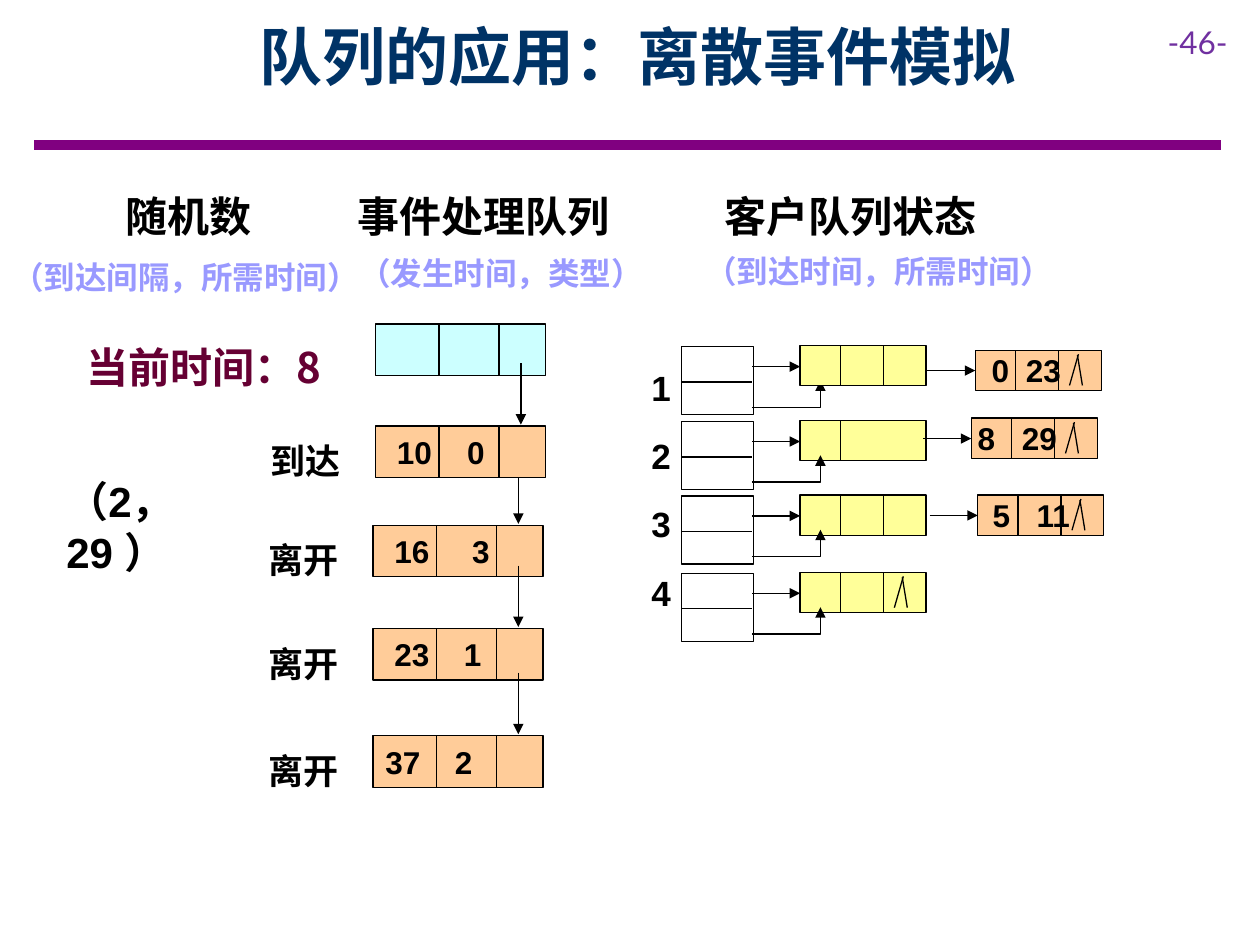
"""Build a slide that traces a bank simulation with event and customer queues."""
from typing import NamedTuple

from lxml import etree
from pptx import Presentation
from pptx.dml.color import RGBColor
from pptx.enum.shapes import MSO_CONNECTOR, MSO_SHAPE
from pptx.enum.text import MSO_ANCHOR, PP_ALIGN
from pptx.oxml.ns import qn
from pptx.util import Cm, Pt

RECTANGLE = MSO_SHAPE.RECTANGLE
STRAIGHT = MSO_CONNECTOR.STRAIGHT
TOP, MIDDLE = MSO_ANCHOR.TOP, MSO_ANCHOR.MIDDLE
LEFT, CENTER = PP_ALIGN.LEFT, PP_ALIGN.CENTER

LATIN, CHINESE = "Arial", "Noto Sans CJK SC"
COLORS = {
    "ink": "000000", "title": "003366", "rule": "800080", "page": "7030A0",
    "hint": "9999FF", "clock": "660033", "head": "CCFFFF",
    "node": "FFCC99", "queue": "FFFF99",
}


class Style(NamedTuple):
    size: int
    color: str = "ink"
    font: str = LATIN
    bold: bool = True


class Caption(NamedTuple):
    text: str
    left: float
    top: float
    width: float
    height: float
    style: Style


class Values(NamedTuple):
    first: str
    second: str
    inset: float
    tab: float


class Event(NamedTuple):
    left: float
    top: float
    label: str
    values: Values


class Window(NamedTuple):
    top: float
    dividers: tuple[float, ...]
    nil: bool = False
    link_behind: bool = False


class Customer(NamedTuple):
    left: float
    top: float
    values: Values


HEADING = Style(24)
HINT = Style(18, "hint")
LABEL = Style(20, font=CHINESE)
VALUE = Style(18)
CAPTIONS = [
    Caption("-46-", 23.29, 0.33, 2.11, 1.02, Style(18, "page", "Lato", False)),
    Caption("随机数", 2.29, 3.71, 4, 1.27, HEADING),
    Caption("事件处理队列", 6.95, 3.71, 6.5, 1.27, HEADING),
    Caption("客户队列状态", 14.35, 3.71, 6.5, 1.27, HEADING),
    Caption("（到达间隔，所需时间）", 0, 5.08, 7.77, 1.02, HINT),
    Caption("（发生时间，类型）", 6.99, 5, 6.35, 1.02, HINT),
    Caption("（到达时间，所需时间）", 13.97, 4.95, 7.72, 1.02, HINT),
    Caption("当前时间：8", 1.5, 6.76, 6.3, 1.27, Style(24, "clock", CHINESE)),
    Caption("（2，29 ）", 1.09, 9.47, 3.5, 2.3, HEADING),
    Caption("1\n2\n3\n4", 12.88, 7.26, 1.22, 5.41, Style(20)),
]
EVENT_SIZE, EVENT_DIVIDERS = (3.43, 1.04), (1.28, 2.49)
EVENTS = [
    Event(7.52, 10.59, "离开", Values("16", "3", 0.43, 1.57)),
    Event(7.52, 12.67, "离开", Values("23", "1", 0.43, 1.4)),
    Event(7.57, 8.59, "到达", Values("10", "0", 0.43, 1.42)),
    Event(7.52, 14.83, "离开", Values("37", "2", 0.25, 1.4)),
]
QUEUE_SIZE, QUEUE_DIVIDERS = (2.54, 0.81), (0.81, 1.68)
WINDOWS = [
    Window(6.97, QUEUE_DIVIDERS, link_behind=True),
    Window(8.48, QUEUE_DIVIDERS[:1]),
    Window(9.98, QUEUE_DIVIDERS),
    Window(11.54, QUEUE_DIVIDERS, nil=True),
]
CUSTOMERS = [
    Customer(19.66, 7.06, Values("0", "23", 0.33, 0.69)),
    Customer(19.58, 8.43, Values("8", "29", 0.13, 0.89)),
    Customer(19.71, 9.98, Values("5", "11", 0.3, 0.89)),
]


def rgb(name: str) -> RGBColor:
    return RGBColor.from_string(COLORS[name])


def format_text(frame, text: str, style: Style, align=LEFT, gap: float = 0) -> None:
    frame.word_wrap = True
    frame.text = text
    for paragraph in frame.paragraphs:
        paragraph.alignment = align
        if gap:
            paragraph.space_after = Pt(gap)
        font = paragraph.font
        font.size, font.bold, font.name = Pt(style.size), style.bold, style.font
        font.color.rgb = rgb(style.color)
        defaults = paragraph._p.pPr.find(qn("a:defRPr"))
        etree.SubElement(defaults, qn("a:ea"), typeface=CHINESE)


def add_caption(shapes, caption: Caption) -> None:
    box = shapes.add_textbox(*map(Cm, caption[1:5]))
    format_text(box.text_frame, caption.text, caption.style, gap=15 if "\n" in caption.text else 0)


def set_line(part, color: str = "ink", width: float = 0.75, arrow: bool = False) -> None:
    part.line.color.rgb = rgb(color)
    part.line.width = Pt(width)
    if arrow:
        outline = part._element.spPr.find(qn("a:ln"))
        etree.SubElement(outline, qn("a:tailEnd"), type="triangle")


def add_line(shapes, x1: float, y1: float, x2: float, y2: float, **look) -> None:
    line = shapes.add_connector(STRAIGHT, Cm(x1), Cm(y1), Cm(x2), Cm(y2))
    set_line(line, **look)
    etree.SubElement(line._element.spPr, qn("a:effectLst"))


def add_box(shapes, left: float, top: float, size: tuple[float, float],
            fill: str = "", dividers: tuple[float, ...] = (), values: Values | None = None) -> None:
    box = shapes.add_shape(RECTANGLE, Cm(left), Cm(top), *map(Cm, size))
    box.shadow.inherit = False
    set_line(box)
    if fill:
        box.fill.solid()
        box.fill.fore_color.rgb = rgb(fill)
    else:
        box.fill.background()
    if values:
        frame = box.text_frame
        format_text(frame, f"{values.first}\t{values.second}", VALUE)
        frame.vertical_anchor = MIDDLE
        frame.margin_left = Cm(values.inset)
        frame.margin_right = frame.margin_top = frame.margin_bottom = 0
        tabs = etree.Element(qn("a:tabLst"))
        etree.SubElement(tabs, qn("a:tab"), pos=str(Cm(values.tab)), algn="l")
        frame.paragraphs[0]._p.pPr.insert(0, tabs)
    for offset in dividers:
        add_line(shapes, left + offset, top, left + offset, top + size[1])


def add_nil(shapes, left: float, top: float) -> None:
    add_line(shapes, left + 1.9, top + 0.71, left + 2.08, top + 0.08)
    add_line(shapes, left + 2.06, top + 0.1, left + 2.16, top + 0.71)


def add_event(shapes, event: Event) -> None:
    left, top = event.left, event.top
    add_box(shapes, left, top, EVENT_SIZE, "node", EVENT_DIVIDERS, event.values)
    add_line(shapes, left + 2.93, top - 1.27, left + 2.93, top - 0.03, arrow=True)
    add_caption(shapes, Caption(event.label, left - 2.36, top + 0.15, 2.84, 1.09, LABEL))


def add_rear_link(shapes, top: float) -> None:
    outline = shapes.build_freeform(Cm(15.16), Cm(top + 1.24))
    outline.add_line_segments([(Cm(16.54), Cm(top + 1.24)), (Cm(16.54), Cm(top + 0.7))], close=False)
    link = outline.convert_to_shape()
    link.shadow.inherit = False
    link.fill.background()
    set_line(link, arrow=True)


def add_window(shapes, window: Window) -> None:
    top, queue_left = window.top, 16.13
    add_box(shapes, 13.74, top + 0.02, (1.45, 1.37))
    add_line(shapes, 13.74, top + 0.73, 15.16, top + 0.73)
    if window.link_behind:
        add_rear_link(shapes, top)
    add_box(shapes, queue_left, top, QUEUE_SIZE, "queue", window.dividers)
    add_line(shapes, 15.16, top + 0.42, queue_left, top + 0.42, arrow=True)
    if not window.link_behind:
        add_rear_link(shapes, top)
    if window.nil:
        add_nil(shapes, queue_left, top)


def add_customer(shapes, customer: Customer) -> None:
    left, top = customer.left, customer.top
    add_box(shapes, left, top, QUEUE_SIZE, "node", QUEUE_DIVIDERS, customer.values)
    add_line(shapes, left - 0.97, top + 0.41, left, top + 0.41, arrow=True)
    add_nil(shapes, left, top)


def main() -> None:
    deck = Presentation()
    deck.slide_width, deck.slide_height = Cm(25.4), Cm(19.05)
    shapes = deck.slides.add_slide(deck.slide_layouts[5]).shapes
    title = shapes.title
    title.left, title.top, title.width, title.height = map(Cm, (2.29, 0.23, 21.11, 2.54))
    format_text(title.text_frame, "队列的应用：离散事件模拟", Style(36, "title", CHINESE), CENTER)
    title.text_frame.vertical_anchor = TOP
    add_line(shapes, 0.69, 2.92, 24.61, 2.92, color="rule", width=6)
    add_box(shapes, 7.57, 6.53, EVENT_SIZE, "head", EVENT_DIVIDERS)
    for draw, items in ((add_window, WINDOWS), (add_customer, CUSTOMERS),
                        (add_event, EVENTS), (add_caption, CAPTIONS)):
        for item in items:
            draw(shapes, item)
    deck.save("out.pptx")


if __name__ == "__main__":
    main()
